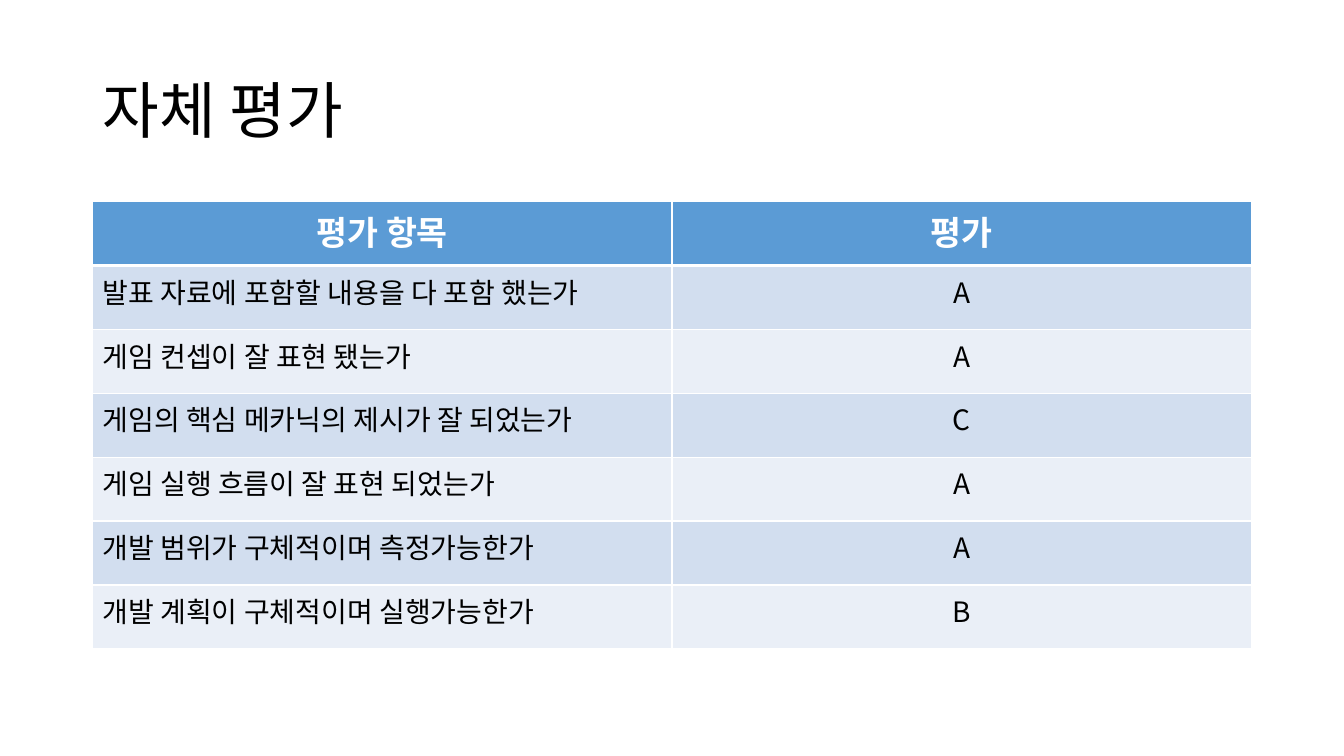
"""Build the self-evaluation slide with its graded table."""
from dataclasses import dataclass

from lxml import etree
from pptx import Presentation
from pptx.dml.color import RGBColor
from pptx.enum.text import MSO_ANCHOR, MSO_AUTO_SIZE, PP_ALIGN
from pptx.oxml.ns import qn
from pptx.slide import Slide
from pptx.table import _Cell
from pptx.text.text import TextFrame
from pptx.util import Cm, Pt

LEFT, CENTER = PP_ALIGN.LEFT, PP_ALIGN.CENTER
MIDDLE = MSO_ANCHOR.MIDDLE
NO_AUTOFIT = MSO_AUTO_SIZE.NONE
TITLE_ONLY = 5


@dataclass(frozen=True)
class Theme:
    font: str = "Noto Sans CJK KR"
    text: str = "000000"
    white: str = "FFFFFF"
    header: str = "5B9BD5"
    bands: tuple[str, str] = ("D2DEEF", "EAEFF7")
    title_size: int = 44
    header_size: int = 24
    body_size: int = 20
    rule: int = 1
    header_rule: int = 3


@dataclass(frozen=True)
class Criterion:
    question: str
    grade: str


THEME = Theme()
HEADERS = ("평가 항목", "평가")
CRITERIA = (
    Criterion("발표 자료에 포함할 내용을 다 포함 했는가", "A"),
    Criterion("게임 컨셉이 잘 표현 됐는가", "A"),
    Criterion("게임의 핵심 메카닉의 제시가 잘 되었는가", "C"),
    Criterion("게임 실행 흐름이 잘 표현 되었는가", "A"),
    Criterion("개발 범위가 구체적이며 측정가능한가", "A"),
    Criterion("개발 계획이 구체적이며 실행가능한가", "B"),
)
MARGIN, WIDTH = Cm(2.33), Cm(29.21)
TABLE_TOP, ROW_HEIGHT = Cm(5.08), Cm(1.61)


def write(tf: TextFrame, text: str, *, size: int, color: str = THEME.text,
          bold: bool = False, align: PP_ALIGN = LEFT,
          spacing: float = 1.0) -> None:
    p = tf.paragraphs[0]
    p.alignment = align
    p.line_spacing = spacing
    r = p.add_run()
    r.text = text
    r.font.size = Pt(size)
    r.font.bold = bold
    r.font.name = THEME.font
    r.font.color.rgb = RGBColor.from_string(color)
    etree.SubElement(r.font._element, qn("a:ea"), typeface=THEME.font)


def set_borders(cell: _Cell, top: int, bottom: int) -> None:
    tc_pr = cell._tc.get_or_add_tcPr()
    widths = {"L": THEME.rule, "R": THEME.rule, "T": top, "B": bottom}
    for i, (side, width) in enumerate(widths.items()):
        ln = etree.Element(qn(f"a:ln{side}"), w=str(Pt(width)))
        fill = etree.SubElement(ln, qn("a:solidFill"))
        etree.SubElement(fill, qn("a:srgbClr"), val=THEME.white)
        tc_pr.insert(i, ln)


def fill_cell(cell: _Cell, color: str, top: int, bottom: int) -> None:
    cell.fill.solid()
    cell.fill.fore_color.rgb = RGBColor.from_string(color)
    set_borders(cell, top, bottom)


def add_title(s: Slide, text: str) -> None:
    title = s.shapes.title
    title.left, title.top = MARGIN, Cm(1.01)
    title.width, title.height = WIDTH, Cm(3.68)
    tf = title.text_frame
    tf.word_wrap = True
    tf.auto_size = NO_AUTOFIT
    tf.vertical_anchor = MIDDLE
    write(tf, text, size=THEME.title_size, spacing=0.9)


def add_grades(s: Slide) -> None:
    n_rows = len(CRITERIA) + 1
    table = s.shapes.add_table(n_rows, len(HEADERS), MARGIN, TABLE_TOP,
                               WIDTH, ROW_HEIGHT * n_rows).table
    for col, text in enumerate(HEADERS):
        cell = table.cell(0, col)
        fill_cell(cell, THEME.header, THEME.rule, THEME.header_rule)
        write(cell.text_frame, text, size=THEME.header_size,
              color=THEME.white, bold=True, align=CENTER)
    for row, item in enumerate(CRITERIA, start=1):
        top = THEME.header_rule if row == 1 else THEME.rule
        band = THEME.bands[(row - 1) % 2]
        for col, (text, align) in enumerate(
                ((item.question, LEFT), (item.grade, CENTER))):
            cell = table.cell(row, col)
            fill_cell(cell, band, top, THEME.rule)
            write(cell.text_frame, text, size=THEME.body_size, align=align)


def main() -> None:
    prs = Presentation()
    prs.slide_width, prs.slide_height = Cm(33.87), Cm(19.05)
    s = prs.slides.add_slide(prs.slide_layouts[TITLE_ONLY])
    add_title(s, "자체 평가")
    add_grades(s)
    prs.save("out.pptx")


if __name__ == "__main__":
    main()
